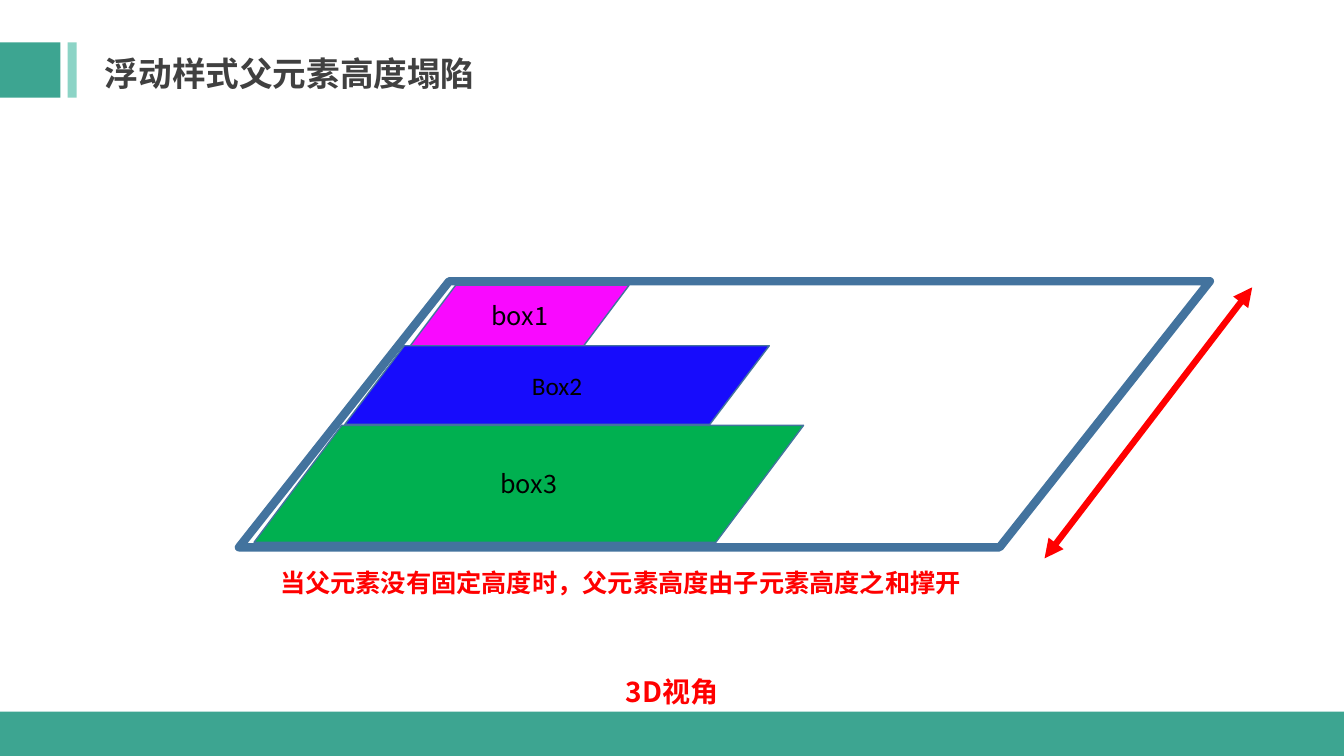
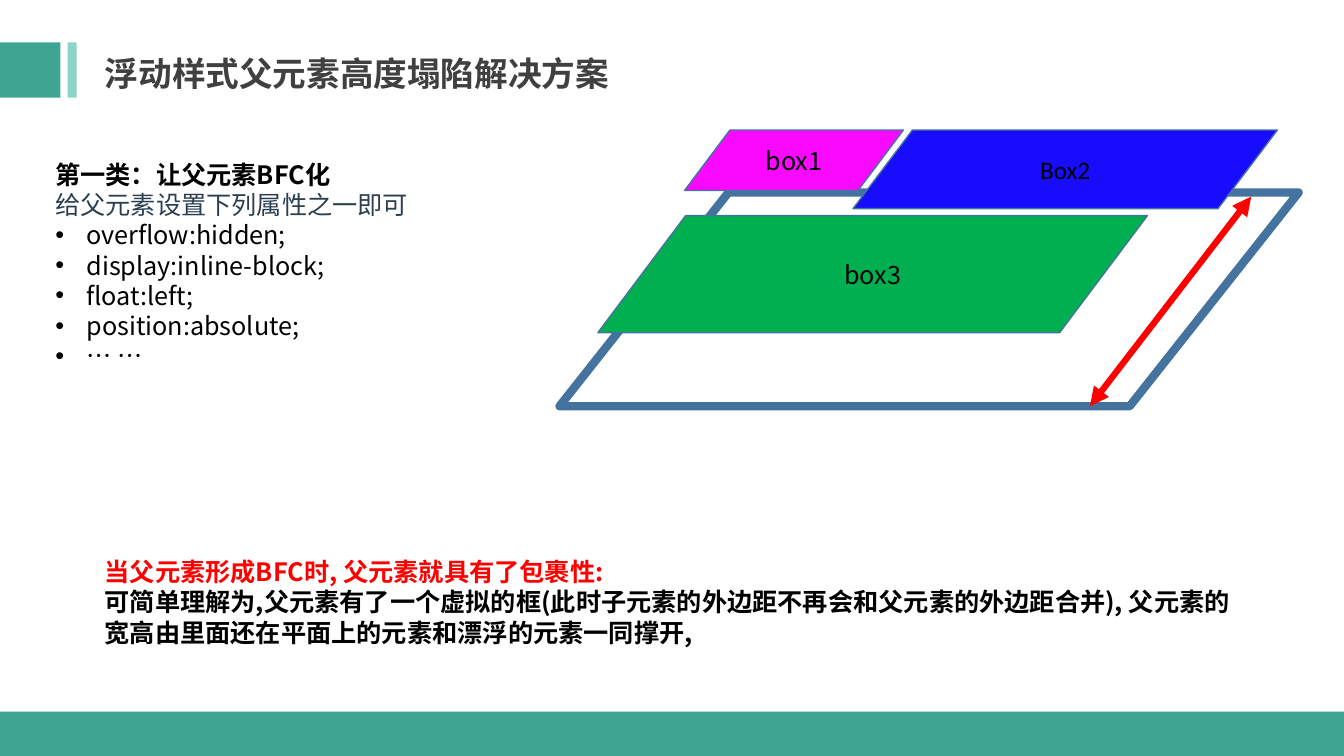
import pptx
import pptx.util
import pptx.dml.color
import pptx.enum.shapes
import pptx.enum.text
import pptx.oxml.ns
from lxml import etree

Inches, Pt = pptx.util.Inches, pptx.util.Pt
SHAPE = pptx.enum.shapes.MSO_SHAPE
ALIGN = pptx.enum.text.PP_ALIGN
ANCHOR = pptx.enum.text.MSO_ANCHOR
qn = pptx.oxml.ns.qn

FONT = "Noto Sans CJK SC"
TEAL, MINT, GRAY, SLATE = "3DA591", "8CD4C6", "404040", "2C3F51"
EDGE, RED, BLACK, WHITE = "43739E", "FF0000", "000000", "FFFFFF"
WIDTH, HEIGHT = 13.33, 7.5
INDENT = 0.31

# name: width, height, slant, fill, font
BOXES = {
    "box3": (5.45, 1.16, 0.75, "00B050", FONT),
    "box1": (2.17, 0.6, 0.75, "F909FF", FONT),
    "Box2": (4.21, 0.78, 0.756, "170CFC", "Calibri"),
}

# Each paragraph: text, size, colour, bold, bulleted
PROPS = ["overflow:hidden;", "display:inline-block;", "float:left;",
         "position:absolute;", "… …"]

SLIDES = [
    {
        "title": "浮动样式父元素高度塌陷",
        "texts": [
            ((4.22, 6.64, 4.89, 0.44), ALIGN.CENTER,
             [("3D视角", 20, RED, True, False)]),
            ((2.68, 5.58, 7.98, 0.4), ALIGN.LEFT,
             [("当父元素没有固定高度时，父元素高度由子元素高度之和撑开",
               18, RED, True, False)]),
        ],
        "frame": (2.37, 2.79, 9.63, 2.64),
        "boxes": {"box3": (2.52, 4.22), "box1": (4.07, 2.83), "Box2": (3.42, 3.43)},
        "arrow": (10.36, 5.54, 12.42, 2.85),
    },
    {
        "title": "浮动样式父元素高度塌陷解决方案",
        "texts": [
            ((0.45, 1.53, 7.33, 2.22), ALIGN.LEFT,
             [("第一类：让父元素BFC化", 18, BLACK, True, False),
              ("给父元素设置下列属性之一即可", 18, SLATE, False, False)]
             + [(prop, 18, BLACK, False, True) for prop in PROPS]),
            ((0.94, 5.47, 11.45, 1.01), ALIGN.LEFT,
             [("当父元素形成BFC时, 父元素就具有了包裹性:", 18, RED, True, False),
              ("可简单理解为,父元素有了一个虚拟的框(此时子元素的外边距不再会和"
               "父元素的外边距合并), 父元素的宽高由里面还在平面上的元素和"
               "漂浮的元素一同撑开,", 18, BLACK, True, False)]),
        ],
        "frame": (5.55, 1.91, 7.33, 2.12),
        "boxes": {"box3": (5.93, 2.14), "box1": (6.79, 1.29), "Box2": (8.46, 1.29)},
        "arrow": (10.81, 4.03, 12.41, 1.95),
    },
]


def rgb(code):
    return pptx.dml.color.RGBColor.from_string(code)


def place(shape, at):
    shape.left, shape.top, shape.width, shape.height = map(Inches, at)


def add_bullet(para):
    props = para._p.get_or_add_pPr()
    props.set("marL", str(Inches(INDENT)))
    props.set("indent", str(-Inches(INDENT)))
    etree.SubElement(props, qn("a:buFont")).set("typeface", "Arial")
    etree.SubElement(props, qn("a:buChar")).set("char", "•")


def write(frame, paras, align, anchor=ANCHOR.TOP, font=FONT):
    frame.word_wrap = True
    frame.vertical_anchor = anchor
    for i, (text, size, color, bold, bullet) in enumerate(paras):
        para = frame.add_paragraph() if i else frame.paragraphs[0]
        para.alignment = align
        para.line_spacing = Pt(size * 1.2)
        if bullet:
            add_bullet(para)
        run = para.add_run()
        run.text = text
        run.font.size, run.font.bold, run.font.name = Pt(size), bold, font
        run.font.color.rgb = rgb(color)
        east = etree.SubElement(run._r.get_or_add_rPr(), qn("a:ea"))
        east.set("typeface", FONT)


def add_shape(shapes, kind, at, fill=None, line=None, weight=1):
    shape = shapes.add_shape(kind, *map(Inches, at))
    shape.shadow.inherit = False
    if fill:
        shape.fill.solid()
        shape.fill.fore_color.rgb = rgb(fill)
    else:
        shape.fill.background()
    if line:
        shape.line.color.rgb = rgb(line)
        shape.line.width = Pt(weight)
    else:
        shape.line.fill.background()
    return shape


def add_base(deck, title):
    """Add a slide with its title, title marks and bottom band."""
    slide = deck.slides.add_slide(deck.slide_layouts[5])
    head = slide.shapes.title
    place(head, (0.94, 0.47, 5.73, 0.5))
    head.fill.solid()
    head.fill.fore_color.rgb = rgb(WHITE)
    head.text_frame.auto_size = pptx.enum.text.MSO_AUTO_SIZE.NONE
    write(head.text_frame, [(title, 24, GRAY, True, False)], ALIGN.LEFT)
    marks = slide.shapes.add_group_shape().shapes
    for left, width, color in ((0, 0.6, TEAL), (0.67, 0.09, MINT)):
        add_shape(marks, SHAPE.RECTANGLE, (left, 0.42, width, 0.55), color)
    add_shape(slide.shapes, SHAPE.RECTANGLE, (0, 7.06, WIDTH, HEIGHT - 7.06), TEAL)
    return slide


def add_slant(shapes, at, slant, **style):
    shape = add_shape(shapes, SHAPE.PARALLELOGRAM, at, line=EDGE, **style)
    shape.adjustments[0] = slant
    return shape


def add_arrow(shapes, ends):
    link = shapes.add_connector(pptx.enum.shapes.MSO_CONNECTOR.STRAIGHT,
                                *map(Inches, ends))
    link.line.color.rgb = rgb(RED)
    link.line.width = Pt(4.5)
    line = link.line._get_or_add_ln()
    for tag in ("a:headEnd", "a:tailEnd"):
        etree.SubElement(line, qn(tag)).set("type", "triangle")
    etree.SubElement(link._element.spPr, qn("a:effectLst"))


def main():
    deck = pptx.Presentation()
    deck.slide_width, deck.slide_height = Inches(WIDTH), Inches(HEIGHT)
    for page in SLIDES:
        shapes = add_base(deck, page["title"]).shapes
        for at, align, paras in page["texts"]:
            box = shapes.add_textbox(*map(Inches, at))
            write(box.text_frame, paras, align)
        add_slant(shapes, page["frame"], 0.79, weight=6)
        for name, (left, top) in page["boxes"].items():
            width, height, slant, fill, font = BOXES[name]
            box = add_slant(shapes, (left, top, width, height), slant, fill=fill)
            write(box.text_frame, [(name, 18, BLACK, False, False)],
                  ALIGN.CENTER, ANCHOR.MIDDLE, font)
        add_arrow(shapes, page["arrow"])
    deck.save("out.pptx")


if __name__ == "__main__":
    main()
